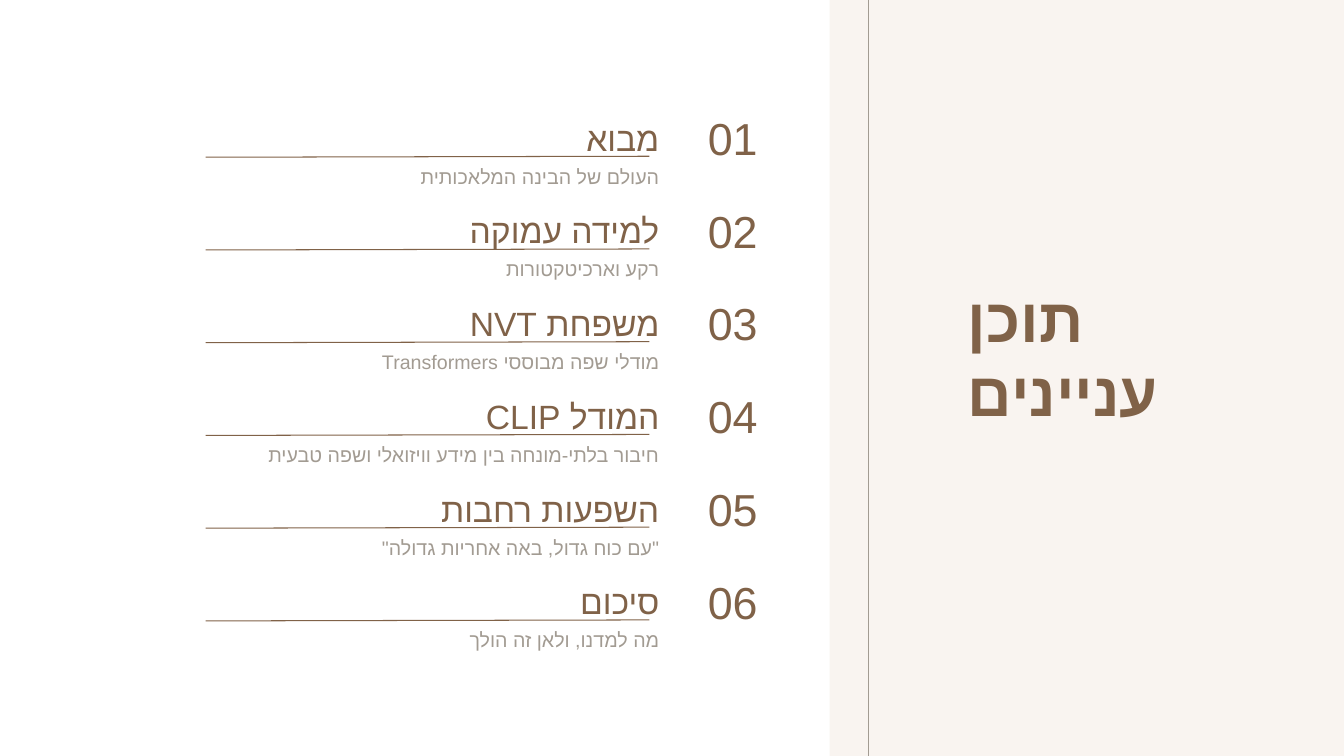
"""Build the Hebrew table of contents slide."""
from dataclasses import dataclass

from lxml import etree
from pptx import Presentation
from pptx.dml.color import RGBColor
from pptx.enum.shapes import MSO_CONNECTOR, MSO_SHAPE
from pptx.enum.text import MSO_ANCHOR, MSO_AUTO_SIZE, PP_ALIGN
from pptx.oxml.ns import qn
from pptx.util import Inches, Pt

STRAIGHT = MSO_CONNECTOR.STRAIGHT
RECTANGLE = MSO_SHAPE.RECTANGLE
MIDDLE = MSO_ANCHOR.MIDDLE
NO_AUTOFIT = MSO_AUTO_SIZE.NONE
LEFT, RIGHT = PP_ALIGN.LEFT, PP_ALIGN.RIGHT
TITLE_ONLY_LAYOUT = 5


@dataclass(frozen=True)
class Theme:
    """Colours, font and type sizes of the slide."""
    background: RGBColor = RGBColor(0xF9, 0xF4, 0xF0)
    panel: RGBColor = RGBColor(0xFF, 0xFF, 0xFF)
    accent: RGBColor = RGBColor(0x80, 0x62, 0x48)
    muted: RGBColor = RGBColor(0xA2, 0x9B, 0x92)
    font: str = "Arial"
    title_size: int = 44
    number_size: int = 32
    heading_size: int = 24
    detail_size: int = 14
    line_width: float = 0.75


THEME = Theme()
FIRST_TOP = 1.12
ROW_PITCH = 0.92
TOPICS = [
    ("מבוא", "העולם של הבינה המלאכותית"),
    ("למידה עמוקה", "רקע וארכיטקטורות"),
    ("משפחת NVT", "מודלי שפה מבוססי Transformers"),
    ("המודל CLIP", "חיבור בלתי-מונחה בין מידע וויזואלי ושפה טבעית"),
    ("השפעות רחבות", '"עם כוח גדול, באה אחריות גדולה"'),
    ("סיכום", "מה למדנו, ולאן זה הולך"),
]


def fill_text(shape, text, size, color, bold=False, rtl=False):
    """Write one formatted paragraph into a shape."""
    frame = shape.text_frame
    frame.text = text
    frame.word_wrap = True
    frame.auto_size = NO_AUTOFIT
    frame.vertical_anchor = MIDDLE
    frame.margin_left = frame.margin_right = Inches(0.13)
    frame.margin_top = frame.margin_bottom = Inches(0.13)
    paragraph = frame.paragraphs[0]
    paragraph.alignment = RIGHT if rtl else LEFT
    paragraph.line_spacing = 1.0
    if rtl:
        paragraph._p.get_or_add_pPr().set("rtl", "1")
    for run in paragraph.runs:
        run.font.size = Pt(size)
        run.font.bold = bold
        run.font.color.rgb = color
        run.font.name = THEME.font
        complex_font = etree.SubElement(run.font._element, qn("a:cs"))
        complex_font.set("typeface", THEME.font)


def add_text(slide, left, top, width, height, *text_style, rtl=False):
    """Add a text box with one paragraph."""
    box = slide.shapes.add_textbox(
        Inches(left), Inches(top), Inches(width), Inches(height))
    fill_text(box, *text_style, rtl=rtl)


def add_line(slide, start, end, color):
    """Add a thin straight line without a shadow."""
    line = slide.shapes.add_connector(
        STRAIGHT, *(Inches(value) for value in (*start, *end)))
    line.line.color.rgb = color
    line.line.width = Pt(THEME.line_width)
    etree.SubElement(line._element.spPr, qn("a:effectLst"))


def add_backdrop(slide):
    """Add the white content panel and the vertical rule."""
    slide.background.fill.solid()
    slide.background.fill.fore_color.rgb = THEME.background
    panel = slide.shapes.add_shape(
        RECTANGLE, Inches(0), Inches(0), Inches(8.23), Inches(7.5))
    panel.shadow.inherit = False
    panel.fill.solid()
    panel.fill.fore_color.rgb = THEME.panel
    panel.line.fill.background()
    add_line(slide, (8.61, 0), (8.61, 7.5), THEME.muted)


def add_title(slide, text):
    """Place and format the title placeholder."""
    title = slide.shapes.title
    title.left, title.top = Inches(9.47), Inches(2.25)
    title.width, title.height = Inches(3.37), Inches(2.55)
    fill_text(title, text, THEME.title_size, THEME.accent, bold=True)


def add_topic(slide, index, heading, detail):
    """Add one numbered topic with its underline and detail."""
    top = FIRST_TOP + index * ROW_PITCH
    add_text(slide, 1.82, top, 4.85, 0.49,
             heading, THEME.heading_size, THEME.accent, rtl=True)
    add_text(slide, 1.82, top + 0.46, 4.85, 0.34,
             detail, THEME.detail_size, THEME.muted, rtl=True)
    add_line(slide, (6.44, top + 0.43), (2.04, top + 0.44), THEME.accent)
    add_text(slide, 6.89, top, 0.87, 0.49,
             f"{index + 1:02}", THEME.number_size, THEME.accent)


def main():
    """Create and save the presentation."""
    presentation = Presentation()
    presentation.slide_width = Inches(13.33)
    presentation.slide_height = Inches(7.5)
    layout = presentation.slide_layouts[TITLE_ONLY_LAYOUT]
    slide = presentation.slides.add_slide(layout)
    add_backdrop(slide)
    add_title(slide, "תוכן עניינים")
    for index, (heading, detail) in enumerate(TOPICS):
        add_topic(slide, index, heading, detail)
    presentation.save("out.pptx")


if __name__ == "__main__":
    main()
